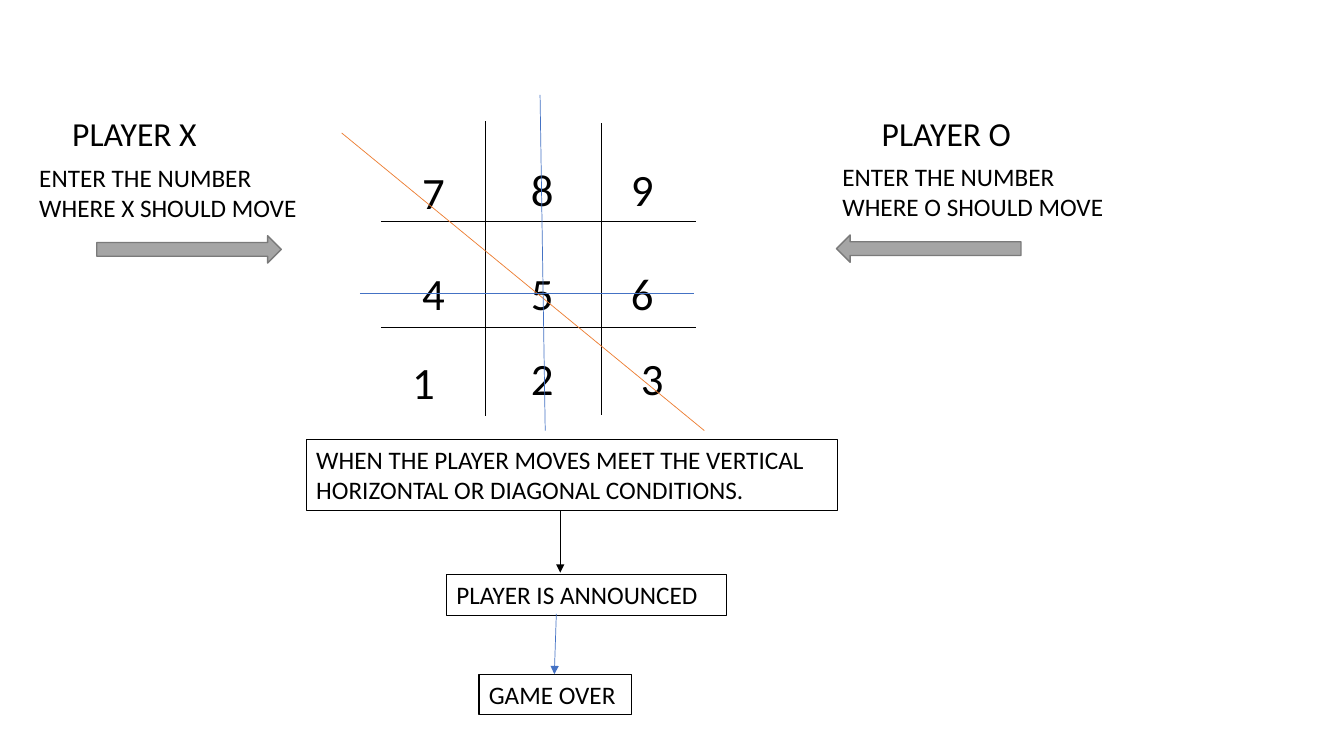
"""Build a slide that explains how a game of tic-tac-toe is played and ends."""
from lxml import etree
from pptx import Presentation
from pptx.dml.color import RGBColor
from pptx.enum.shapes import MSO_CONNECTOR, MSO_SHAPE
from pptx.enum.text import MSO_AUTO_SIZE
from pptx.oxml.ns import qn
from pptx.util import Cm, Pt

STRAIGHT = MSO_CONNECTOR.STRAIGHT
RIGHT_ARROW = MSO_SHAPE.RIGHT_ARROW
GROW = MSO_AUTO_SIZE.SHAPE_TO_FIT_TEXT
FONT = "Calibri"
COLORS = {
    "black": "000000",
    "blue": "4472C4",
    "orange": "ED7D31",
    "gray": "A5A5A5",
    "dark gray": "7A7A7A",
}

PLAYERS = [
    {"name": "PLAYER X", "name_at": (1.57, 2.72),
     "prompt": "ENTER THE NUMBER WHERE X SHOULD MOVE", "prompt_at": (0.74, 3.96),
     "arrow_at": (2.44, 5.94), "rotation": 0},
    {"name": "PLAYER O", "name_at": (21.97, 2.72),
     "prompt": "ENTER THE NUMBER WHERE O SHOULD MOVE", "prompt_at": (20.98, 3.94),
     "arrow_at": (21.08, 5.92), "rotation": 180},
]
NAME_SIZE, PROMPT_SIZE, ARROW_SIZE = (4.09, 1.27), (7.44, 1.8), (4.65, 0.69)

BOARD = ["789", "456", "123"]
COLUMN_LEFTS = [10.39, 13.13, 15.65]
ROW_TOPS = [3.94, 6.58, 8.71]
DIGIT_SIZE = (1.83, 1.63)
NUDGES = {"7": (0, 0.08), "1": (-0.25, 0.1), "3": (0.25, 0)}

GRID_LINES = [
    ((12.22, 3.05), (12.22, 10.49)),
    ((15.16, 3.1), (15.16, 10.46)),
    ((9.6, 5.59), (17.53, 5.59)),
    ((9.6, 8.26), (17.53, 8.26)),
]
WINNING_LINES = [
    ((8.61, 3.35), (17.75, 10.85), "orange"),
    ((13.61, 2.39), (13.74, 10.85), "blue"),
    ((9.07, 7.39), (17.48, 7.39), "blue"),
]
FLOW_BOXES = [
    ("WHEN THE PLAYER MOVES MEET THE VERTICAL HORIZONTAL OR DIAGONAL CONDITIONS.",
     (7.72, 11.07), (13.39, 1.8), 0.75),
    ("PLAYER IS ANNOUNCED", (11.25, 14.48), (7.06, 1.02), 0.75),
    ("GAME OVER", (12.07, 16.99), (3.84, 1.02), 1),
]
FLOW_ARROWS = [
    ((14.12, 12.88), (14.12, 14.43), "black"),
    ((14.02, 15.47), (13.97, 16.99), "blue"),
]


def rgb(color):
    return RGBColor.from_string(COLORS[color])


def lengths(*values):
    return [Cm(value) for value in values]


def set_line(shape, color, width):
    shape.line.color.rgb = rgb(color)
    shape.line.width = Pt(width)


def add_text(slide, text, position, size, points):
    shape = slide.shapes.add_textbox(*lengths(*position, *size))
    frame = shape.text_frame
    frame.word_wrap = True
    frame.auto_size = GROW
    run = frame.paragraphs[0].add_run()
    run.text = text
    run.font.name = FONT
    run.font.size = Pt(points)
    run.font.color.rgb = rgb("black")
    return shape


def add_line(slide, start, end, color, arrowhead=False):
    connector = slide.shapes.add_connector(STRAIGHT, *lengths(*start, *end))
    set_line(connector, color, 0.5)
    if arrowhead:
        outline = connector.line._get_or_add_ln()
        etree.SubElement(outline, qn("a:tailEnd"), type="triangle")
    etree.SubElement(connector._element.spPr, qn("a:effectLst"))


def add_player(slide, player):
    add_text(slide, player["name"], player["name_at"], NAME_SIZE, 24)
    add_text(slide, player["prompt"], player["prompt_at"], PROMPT_SIZE, 18)
    arrow = slide.shapes.add_shape(
        RIGHT_ARROW, *lengths(*player["arrow_at"], *ARROW_SIZE))
    arrow.rotation = player["rotation"]
    arrow.shadow.inherit = False
    arrow.fill.solid()
    arrow.fill.fore_color.rgb = rgb("gray")
    set_line(arrow, "dark gray", 1)


def add_board(slide):
    for start, end in GRID_LINES:
        add_line(slide, start, end, "black")
    for top, digits in zip(ROW_TOPS, BOARD):
        for left, digit in zip(COLUMN_LEFTS, digits):
            right, down = NUDGES.get(digit, (0, 0))
            add_text(slide, digit, (left + right, top + down), DIGIT_SIZE, 32)
    for start, end, color in WINNING_LINES:
        add_line(slide, start, end, color)


def add_flow(slide):
    for text, position, size, width in FLOW_BOXES:
        box = add_text(slide, text, position, size, 18)
        set_line(box, "black", width)
    for start, end, color in FLOW_ARROWS:
        add_line(slide, start, end, color, arrowhead=True)


def main():
    presentation = Presentation()
    presentation.slide_width, presentation.slide_height = lengths(33.87, 19.05)
    slide = presentation.slides.add_slide(presentation.slide_layouts[6])
    for player in PLAYERS:
        add_player(slide, player)
    add_board(slide)
    add_flow(slide)
    presentation.save("out.pptx")


if __name__ == "__main__":
    main()
